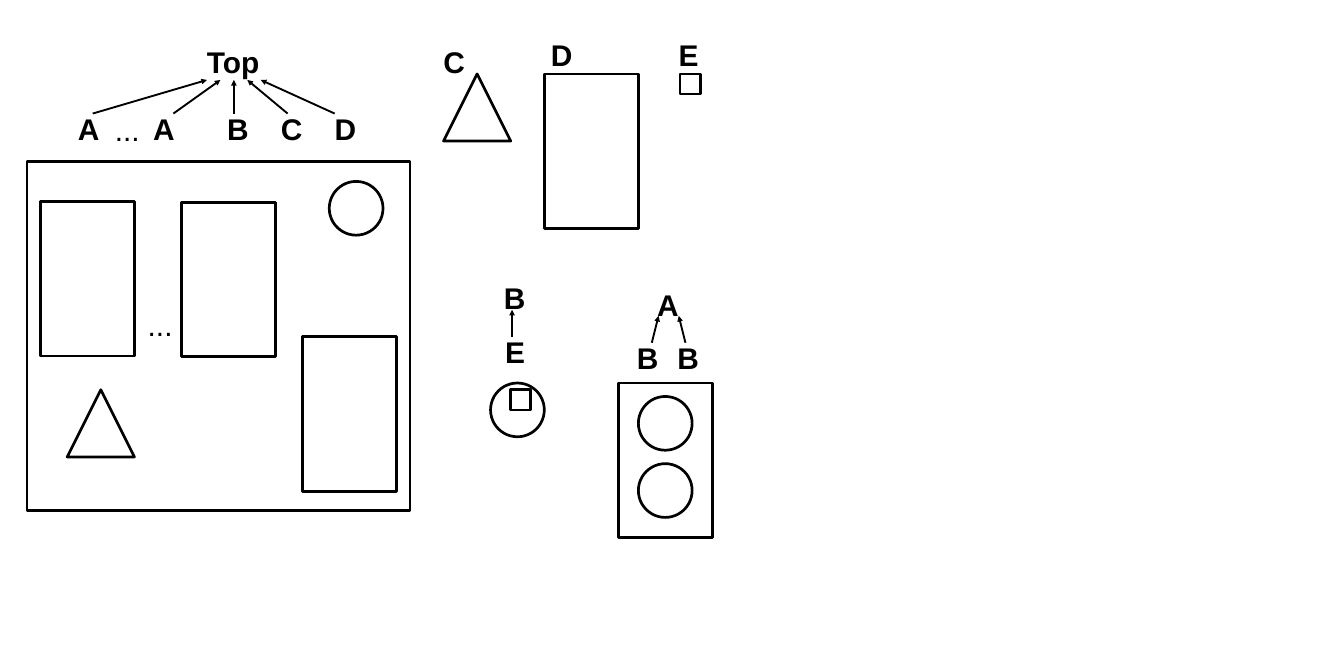
from pptx import Presentation
from pptx import util as u
from pptx.dml.color import RGBColor
from pptx.enum import shapes, text
from pptx.oxml.ns import qn
from lxml import etree

PX = 9144  # EMU per px, 100 px to the inch
BLACK = RGBColor(0x00, 0x00, 0x00)
FONT = {"name": "Arial", "size": u.Pt(32)}

RECTANGLE = shapes.MSO_SHAPE.RECTANGLE
CIRCLE = shapes.MSO_SHAPE.OVAL
TRIANGLE = shapes.MSO_SHAPE.ISOSCELES_TRIANGLE

# Cell symbols: outline, width, height
BOX = (RECTANGLE, 140, 230)
DISC = (CIRCLE, 80, 80)
WEDGE = (TRIANGLE, 100, 100)
CHIP = (RECTANGLE, 30, 30)
FRAME = (RECTANGLE, 570, 520)


def emu(*lengths):
    return [u.Emu(length * PX) for length in lengths]


def add_symbol(parent, symbol, left, top):
    kind, width, height = symbol
    shape = parent.add_shape(kind, *emu(left, top, width, height))
    shape.shadow.inherit = False
    shape.fill.background()
    shape.line.color.rgb = BLACK
    shape.line.width = u.Pt(2.89)


def add_label(parent, label, left, top, width=52, bold=True):
    frame = parent.add_textbox(*emu(left, top, width, 60)).text_frame
    frame.word_wrap = len(label) == 1
    frame.auto_size = text.MSO_AUTO_SIZE.SHAPE_TO_FIT_TEXT
    run = frame.paragraphs[0].add_run()
    run.text = label
    for name, value in {**FONT, "bold": bold}.items():
        setattr(run.font, name, value)
    run.font.color.rgb = BLACK


def add_arrow(parent, start, end):
    arrow = parent.add_connector(shapes.MSO_CONNECTOR.STRAIGHT, *emu(*start, *end))
    arrow.line.color.rgb = BLACK
    arrow.line.width = u.Pt(0)
    etree.SubElement(arrow.line._get_or_add_ln(), qn("a:tailEnd"), type="triangle")
    etree.SubElement(arrow._element.spPr, qn("a:effectLst"))


def add_part(slide, symbols=(), labels=(), arrows=()):
    """One group of symbols, labels and arrows."""
    parent = slide.shapes.add_group_shape().shapes
    for symbol in symbols:
        add_symbol(parent, *symbol)
    for label in labels:
        add_label(parent, *label)
    for arrow in arrows:
        add_arrow(parent, *arrow)


def main():
    presentation = Presentation()
    presentation.slide_width, presentation.slide_height = emu(2000, 1000)
    slide = presentation.slides.add_slide(presentation.slide_layouts[6])

    # Leaf cells D, C and E
    add_part(slide, [(BOX, 810, 110)], [("D", 810, 50, 50)])
    add_part(slide, [(WEDGE, 660, 110)], [("C", 650, 60, 50)])
    add_part(slide, [(CHIP, 1012, 110)], [("E", 1000, 50)])

    # Layouts of cells A and B
    add_part(slide, [(BOX, 920, 570), (DISC, 950, 590), (DISC, 950, 690)])
    add_part(slide, [(DISC, 730, 570), (CHIP, 760, 580)])

    # Layout of the top cell
    add_part(
        slide,
        [(FRAME, 40, 240), (BOX, 60, 300), (BOX, 270, 301), (DISC, 490, 270),
         (BOX, 450, 501), (WEDGE, 100, 580)],
        [("...", 210, 451, 57, False)],
    )

    # Hierarchy of the top cell
    children = [("A", 106, 160), ("A", 218, 160)]
    children += [(name, 328 + 80 * i, 159) for i, name in enumerate("BCD")]
    starts = (138, 258, 348, 428, 498)
    add_part(
        slide,
        labels=[("Top", 298, 60, 100), *children, ("...", 161, 161, 57, False)],
        arrows=[((x, 169), (308 + 20 * i, 119)) for i, x in enumerate(starts)],
    )

    # Hierarchies of cells A and B
    add_part(
        slide,
        labels=[("A", 968, 421), ("B", 938, 500), ("B", 998, 501)],
        arrows=[((970, 510), (980, 470)), ((1020, 510), (1010, 470))],
    )
    add_label(slide.shapes, "B", 740, 411)
    add_label(slide.shapes, "E", 742, 491, 49)
    add_arrow(slide.shapes, (762, 501), (762, 461))

    presentation.save("out.pptx")


if __name__ == "__main__":
    main()
